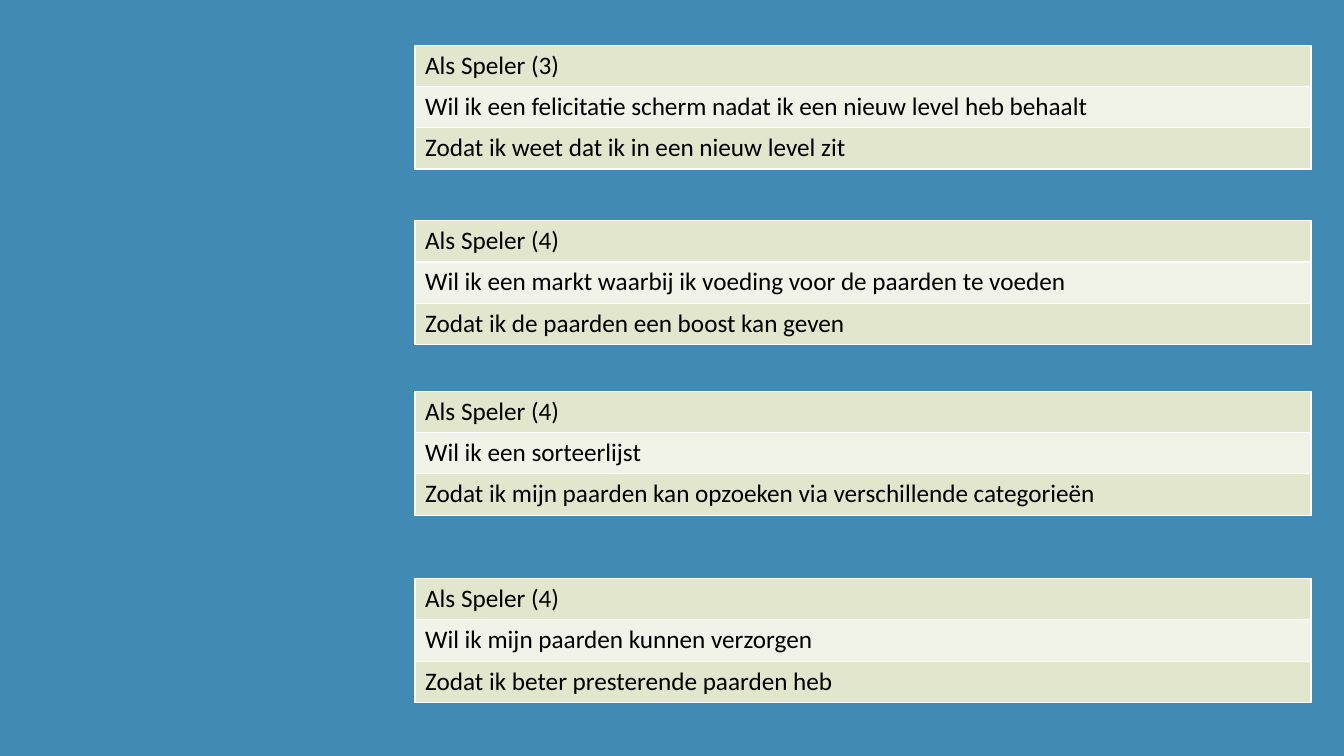
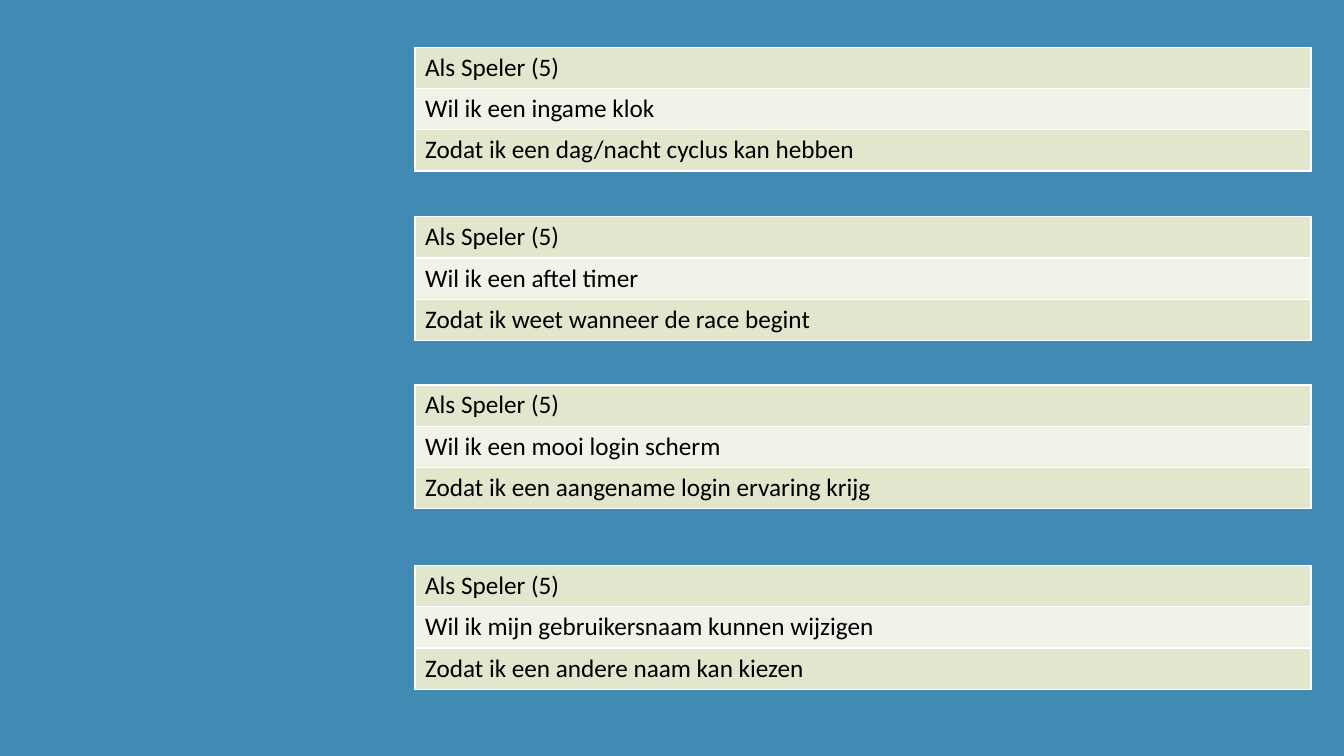
from lxml import etree
from pptx import Presentation
from pptx.dml.color import RGBColor
from pptx.oxml import parse_xml
from pptx.oxml.ns import nsdecls
from pptx.util import Cm, Pt

# Shared look
FONT, SIZE = "Calibri", 18
BLUE, BLACK, WHITE = "418AB3", "000000", "FFFFFF"
BANDS = ("E1E6CD", "F1F3E8")
LEFT, WIDTH, ROW = 10.46, 22.58, 1.04

# One list per slide: top of the card in cm, then its rows
SLIDES = [
    [
        (1.14, ("Als Speler (3)",
                "Wil ik een felicitatie scherm nadat ik een nieuw level heb behaalt",
                "Zodat ik weet dat ik in een nieuw level zit")),
        (5.56, ("Als Speler (4)",
                "Wil ik een markt waarbij ik voeding voor de paarden te voeden",
                "Zodat ik de paarden een boost kan geven")),
        (9.86, ("Als Speler (4)",
                "Wil ik een sorteerlijst",
                "Zodat ik mijn paarden kan opzoeken via verschillende categorieën")),
        (14.58, ("Als Speler (4)",
                 "Wil ik mijn paarden kunnen verzorgen",
                 "Zodat ik beter presterende paarden heb")),
    ],
    [
        (1.19, ("Als Speler (5)",
                "Wil ik een ingame klok",
                "Zodat ik een dag/nacht cyclus kan hebben")),
        (5.46, ("Als Speler (5)",
                "Wil ik een aftel timer",
                "Zodat ik weet wanneer de race begint")),
        (9.7, ("Als Speler (5)",
               "Wil ik een mooi login scherm",
               "Zodat ik een aangename login ervaring krijg")),
        (14.25, ("Als Speler (5)",
                 "Wil ik mijn gebruikersnaam kunnen wijzigen",
                 "Zodat ik een andere naam kan kiezen")),
    ],
]


def paint(fill, color):
    fill.solid()
    fill.fore_color.rgb = RGBColor.from_string(color)


def add_borders(cell, color, width):
    # Border lines have to precede the fill
    tcPr = cell._tc.get_or_add_tcPr()
    for i, side in enumerate("LRTB"):
        ln = parse_xml(f'<a:ln{side} {nsdecls("a")} w="{Pt(width)}"/>')
        fill = etree.SubElement(ln, ln.tag.replace(f"ln{side}", "solidFill"))
        etree.SubElement(fill, fill.tag.replace("solidFill", "srgbClr"), val=color)
        tcPr.insert(i, ln)


def add_story(s, left, top, width, lines):
    table = s.shapes.add_table(len(lines), 1, Cm(left), Cm(top), Cm(width),
                               Cm(ROW * len(lines))).table
    table.first_row = table.horz_banding = False
    for i, line in enumerate(lines):
        table.rows[i].height = Cm(ROW)
        cell = table.cell(i, 0)
        paint(cell.fill, BANDS[i % 2])
        add_borders(cell, WHITE, 1)
        p = cell.text_frame.paragraphs[0]
        p.text = line
        p.font.name, p.font.size = FONT, Pt(SIZE)
        p.font.color.rgb = RGBColor.from_string(BLACK)


def add_story_slide(prs, stories):
    s = prs.slides.add_slide(prs.slide_layouts[6])
    for top, lines in stories:
        add_story(s, LEFT, top, WIDTH, lines)


def main():
    prs = Presentation()
    prs.slide_width, prs.slide_height = Cm(33.87), Cm(19.05)
    paint(prs.slide_master.background.fill, BLUE)
    for stories in SLIDES:
        add_story_slide(prs, stories)
    prs.save("out.pptx")


if __name__ == "__main__":
    main()
